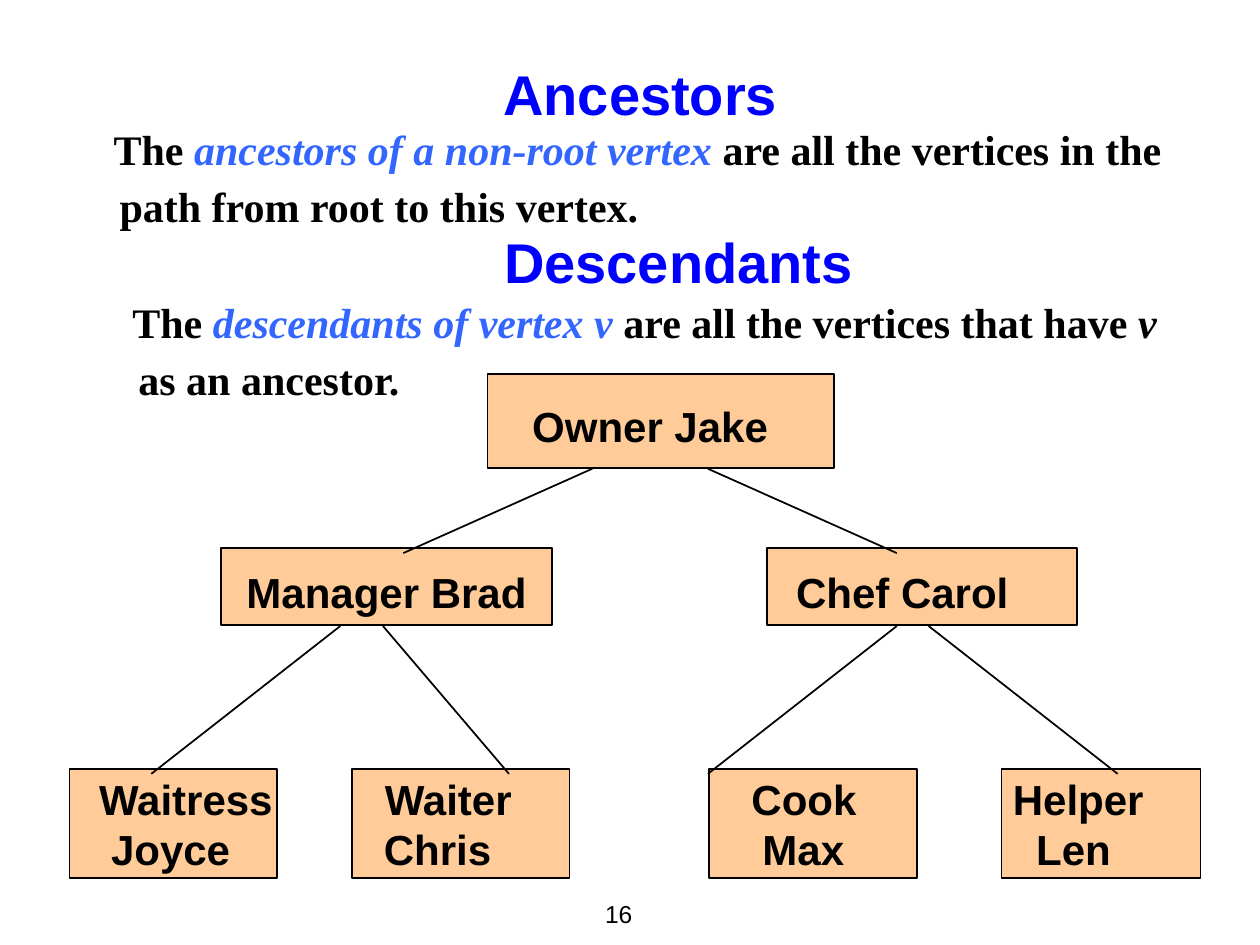
from lxml import etree
from pptx import Presentation
from pptx.dml.color import RGBColor
from pptx.enum.shapes import MSO_CONNECTOR, MSO_SHAPE
from pptx.enum.text import MSO_ANCHOR, MSO_AUTO_SIZE, PP_ALIGN
from pptx.oxml.ns import qn
from pptx.util import Cm, Pt

BLACK = RGBColor(0x00, 0x00, 0x00)
BLUE = RGBColor(0x00, 0x00, 0xFF)
TERM_BLUE = RGBColor(0x33, 0x66, 0xFF)
PEACH = RGBColor(0xFF, 0xCC, 0x99)
RECTANGLE = MSO_SHAPE.RECTANGLE
STRAIGHT = MSO_CONNECTOR.STRAIGHT
LEFT, CENTER, RIGHT = PP_ALIGN.LEFT, PP_ALIGN.CENTER, PP_ALIGN.RIGHT
TOP, MIDDLE, BOTTOM = MSO_ANCHOR.TOP, MSO_ANCHOR.MIDDLE, MSO_ANCHOR.BOTTOM

# All lengths are in centimetres; a place is left, top, width, height.
# Definition spans: text, colour, italic.
ANCESTORS = [
    ("The ", BLACK, False),
    ("ancestors of a non-root vertex ", TERM_BLUE, True),
    ("are all the vertices in the path from root to this vertex.", BLACK, False),
]
DESCENDANTS = [
    ("The ", BLACK, False),
    ("descendants of vertex v ", TERM_BLUE, True),
    ("are all the vertices that have ", BLACK, False),
    ("v", BLACK, True),
    (" as an ancestor.", BLACK, False),
]

# Tree levels: top, height, space above the label, nodes.
# Node: left, width, lines of (text, indent).
LEVELS = [
    (7.54, 1.9, 0.2, [(9.83, 6.99, [("Owner Jake", 0.9)])]),
    (11.05, 1.55, 0.2, [
        (4.45, 6.68, [("Manager Brad", 0.52)]),
        (15.47, 6.25, [("Chef Carol", 0.58)]),
    ]),
    (15.5, 2.2, 0, [
        (1.4, 4.19, [("Waitress", 0.6), ("Joyce", 0.84)]),
        (7.09, 4.39, [("Waiter", 0.67), ("Chris", 0.65)]),
        (14.3, 4.19, [("Cook", 0.85), ("Max", 1.07)]),
        (20.19, 4.01, [("Helper", 0.23), ("Len", 0.7)]),
    ]),
]

# Edges between levels: top, bottom, (upper x, lower x) pairs.
EDGES = [
    (9.45, 11.15, [(11.94, 8.13), (14.27, 18.08)]),
    (12.62, 15.6, [(6.86, 3.05), (7.72, 10.26), (18.08, 14.27), (18.72, 22.53)]),
]


def place(box, left, top, width, height):
    box.left, box.top, box.width, box.height = map(Cm, (left, top, width, height))


def prepare(box, anchor, margins=(0.25, 0.13, 0.25, 0.13)):
    """Set wrapping, anchor and margins, and return the text frame."""
    frame = box.text_frame
    frame.word_wrap = True
    frame.auto_size = MSO_AUTO_SIZE.NONE
    frame.vertical_anchor = anchor
    (frame.margin_left, frame.margin_top,
     frame.margin_right, frame.margin_bottom) = map(Cm, margins)
    return frame


def set_indent(paragraph, left, first_line=0):
    properties = paragraph._p.get_or_add_pPr()
    properties.set("marL", str(Cm(left)))
    properties.set("indent", str(Cm(first_line)))


def set_font(paragraph, size, color, name="Arial", bold=True):
    font = paragraph.font
    font.name, font.size, font.bold = name, Pt(size), bold
    font.color.rgb = color


def write_line(box, text, anchor, alignment, size, color, bold=True):
    paragraph = prepare(box, anchor).paragraphs[0]
    paragraph.text = text
    paragraph.alignment = alignment
    set_font(paragraph, size, color, bold=bold)


def write_definition(box, spans):
    paragraph = prepare(box, TOP, (0.25, 0, 0.25, 0)).paragraphs[0]
    paragraph.alignment = LEFT
    paragraph.line_spacing = Pt(32.6)
    paragraph.space_before = Pt(0)
    set_indent(paragraph, 0.97, -0.12)
    etree.SubElement(paragraph._p.get_or_add_pPr(), qn("a:buNone"))
    set_font(paragraph, 24, BLACK, "Times New Roman")
    for text, color, italic in spans:
        span = paragraph.add_run()
        span.text = text
        span.font.italic = italic
        span.font.color.rgb = color


def add_node(page, left, top, width, height, space_above, lines):
    box = page.shapes.add_shape(RECTANGLE, *map(Cm, (left, top, width, height)))
    box.shadow.inherit = False
    box.fill.solid()
    box.fill.fore_color.rgb = PEACH
    box.line.color.rgb = BLACK
    box.line.width = Pt(1)
    frame = prepare(box, MIDDLE, (0, space_above, 0, 0))
    for number, (text, indent) in enumerate(lines):
        paragraph = frame.add_paragraph() if number else frame.paragraphs[0]
        paragraph.text = text
        paragraph.alignment = LEFT
        set_indent(paragraph, indent)
        set_font(paragraph, 24, BLACK)


def add_edge(page, upper_x, top, lower_x, bottom):
    edge = page.shapes.add_connector(STRAIGHT, *map(Cm, (upper_x, top, lower_x, bottom)))
    edge.line.color.rgb = BLACK
    edge.line.width = Pt(1)
    etree.SubElement(edge._element.spPr, qn("a:effectLst"))


def main():
    deck = Presentation()
    deck.slide_width, deck.slide_height = Cm(25.4), Cm(19.05)
    page = deck.slides.add_slide(deck.slide_layouts[1])

    title, body = page.placeholders
    place(title, 1.19, 0.99, 23.44, 1.7)
    write_line(title, "Ancestors", BOTTOM, CENTER, 32, BLUE)
    place(body, 1.19, 2.36, 22.86, 3.28)
    write_definition(body, ANCESTORS)

    second_title = page.shapes.add_textbox(Cm(1.96), Cm(4.37), Cm(23.44), Cm(1.7))
    write_line(second_title, "Descendants", BOTTOM, CENTER, 32, BLUE)
    second_body = page.shapes.add_textbox(Cm(1.57), Cm(5.84), Cm(22.86), Cm(2.7))
    write_definition(second_body, DESCENDANTS)

    for top, height, space_above, nodes in LEVELS:
        for left, width, lines in nodes:
            add_node(page, left, top, width, height, space_above, lines)
    for top, bottom, pairs in EDGES:
        for upper_x, lower_x in pairs:
            add_edge(page, upper_x, top, lower_x, bottom)

    page_number = page.shapes.add_textbox(Cm(11.3), Cm(17.78), Cm(1.7), Cm(1.27))
    write_line(page_number, "16", MIDDLE, RIGHT, 14, BLACK, bold=False)

    deck.save("out.pptx")


if __name__ == "__main__":
    main()
